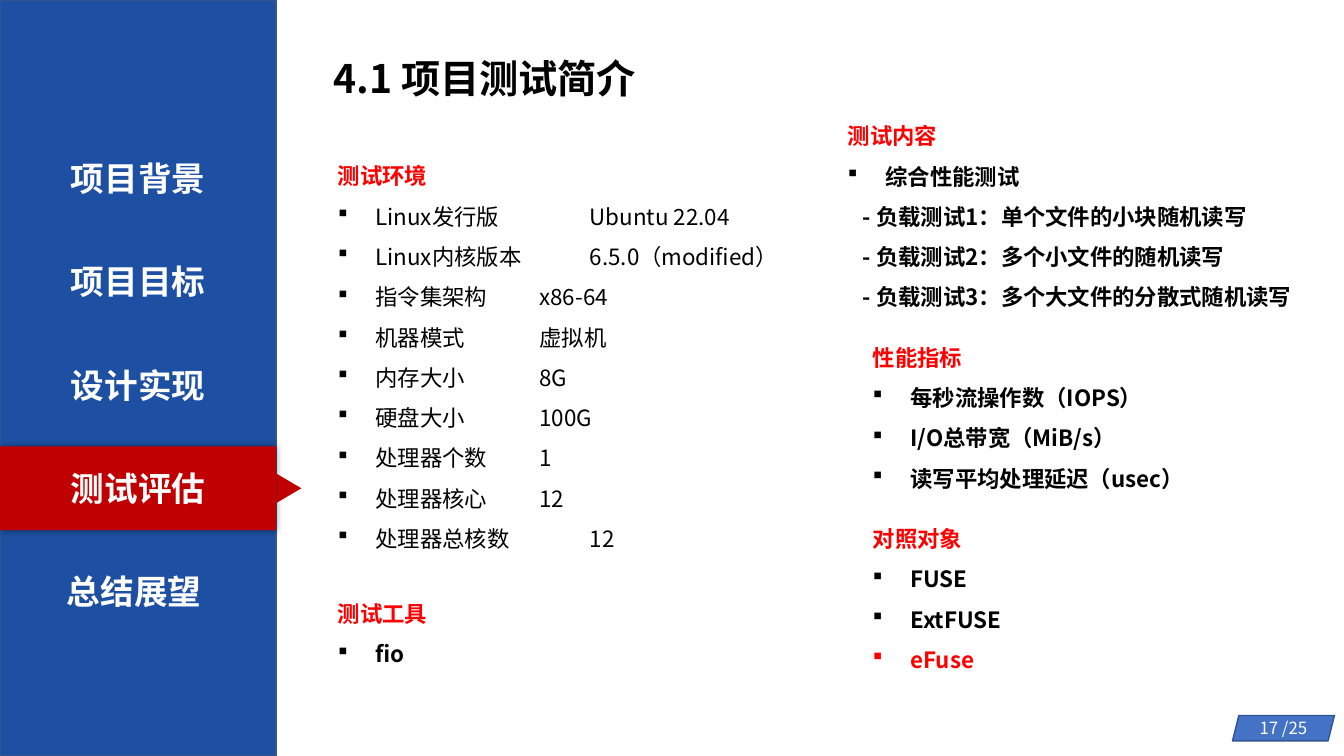
import dataclasses
import typing

import lxml.etree
import pptx
import pptx.dml.color
import pptx.enum.shapes
import pptx.enum.text
import pptx.oxml.ns
import pptx.util

Cm = pptx.util.Cm
Pt = pptx.util.Pt
qn = pptx.oxml.ns.qn
Kind = pptx.enum.shapes.MSO_SHAPE
Align = pptx.enum.text.PP_ALIGN
Anchor = pptx.enum.text.MSO_ANCHOR
Fit = pptx.enum.text.MSO_AUTO_SIZE


@dataclasses.dataclass(frozen=True)
class Theme:
    face: str = "Noto Sans CJK SC"
    black: str = "000000"
    white: str = "FFFFFF"
    red: str = "FF0000"
    dark_red: str = "C00000"
    blue: str = "1D50A2"
    badge: str = "4472C4"
    edge: str = "325491"
    title: int = 28
    menu: int = 24
    body: int = 16
    page: int = 12


THEME = Theme()


class Box(typing.NamedTuple):
    left: float
    top: float
    width: float
    height: float


class Line(typing.NamedTuple):
    text: str
    kind: str = "item"
    color: str = THEME.black
    bold: bool = True
    before: float = 0


class Block(typing.NamedTuple):
    box: Box
    lines: list[Line]


class Panel(typing.NamedTuple):
    box: Box
    kind: typing.Any
    fill: str
    edge: str = ""
    turn: int = 0


INDENT = {"head": (0, 0), "item": (0.95, -0.95), "dash": (0.38, 0)}

SPECS = [
    ("Linux发行版", "Ubuntu 22.04"),
    ("Linux内核版本", "6.5.0（modified）"),
    ("指令集架构", "x86-64"),
    ("机器模式", "虚拟机"),
    ("内存大小", "8G"),
    ("硬盘大小", "100G"),
    ("处理器个数", "1"),
    ("处理器核心", "12"),
    ("处理器总核数", "12"),
]


def head(text: str, before: float = 0) -> Line:
    return Line(text, "head", THEME.red, True, before)


BLOCKS = [
    Block(Box(8.26, 3.63, 12.88, 10.39), [
        head("测试环境"),
        *(Line(f"{name}\t\t{value}", bold=False) for name, value in SPECS),
    ]),
    Block(Box(8.26, 14.66, 10.16, 2.4), [head("测试工具"), Line("fio")]),
    Block(Box(21.11, 2.62, 12.6, 5.26), [
        head("测试内容"),
        Line("综合性能测试"),
        Line("- 负载测试1：单个文件的小块随机读写", "dash"),
        Line("- 负载测试2：多个小文件的随机读写", "dash"),
        Line("- 负载测试3：多个大文件的分散式随机读写", "dash"),
    ]),
    Block(Box(21.74, 8.2, 10.16, 8.8), [
        head("性能指标"),
        Line("每秒流操作数（IOPS）"),
        Line("I/O总带宽（MiB/s）"),
        Line("读写平均处理延迟（usec）"),
        head("对照对象", 14.5),
        Line("FUSE"),
        Line("ExtFUSE"),
        Line("eFuse", color=THEME.red),
    ]),
]

MENU = ["项目背景", "项目目标", "设计实现", "测试评估", "总结展望"]
MENU_TOP = 3.86
MENU_STEP = 2.6
ACTIVE = 3
BAR_TOP = MENU_TOP + ACTIVE * MENU_STEP - 0.41

SIDE = Panel(Box(0, 0, 6.96, 19.05), Kind.RECTANGLE, THEME.blue, THEME.edge)
BAR = Panel(Box(0, BAR_TOP, 6.96, 2.11), Kind.RECTANGLE, THEME.dark_red)
POINT = Panel(Box(6.91, BAR_TOP + 0.74, 0.74, 0.63),
              Kind.ISOSCELES_TRIANGLE, THEME.dark_red, turn=90)
BADGE = Panel(Box(31.06, 18.03, 2.57, 0.64),
              Kind.PARALLELOGRAM, THEME.badge, THEME.edge)


def rgb(code: str) -> pptx.dml.color.RGBColor:
    return pptx.dml.color.RGBColor.from_string(code)


def apply(target: typing.Any, format: dict[str, typing.Any]) -> None:
    for name, value in format.items():
        setattr(target, name, value)


def place(shape: typing.Any, box: Box) -> None:
    apply(shape, {key: Cm(size) for key, size in box._asdict().items()})


def write(para: typing.Any, text: str, size: int, color: str,
          bold: bool = True) -> None:
    run = para.add_run()
    run.text = text
    apply(run.font, {"size": Pt(size), "bold": bold, "name": THEME.face})
    run.font.color.rgb = rgb(color)
    east = lxml.etree.SubElement(run._r.get_or_add_rPr(), qn("a:ea"))
    east.set("typeface", THEME.face)


def bullet(para: typing.Any, kind: str) -> None:
    props = para._p.get_or_add_pPr()
    left, first = INDENT[kind]
    props.set("marL", str(int(Cm(left))))
    props.set("indent", str(int(Cm(first))))
    if kind == "item":
        font = lxml.etree.SubElement(props, qn("a:buFont"))
        font.set("typeface", "Wingdings")
        lxml.etree.SubElement(props, qn("a:buChar")).set("char", "§")
    else:
        lxml.etree.SubElement(props, qn("a:buNone"))


def fill_block(shape: typing.Any, block: Block) -> None:
    place(shape, block.box)
    frame = shape.text_frame
    apply(frame, {"word_wrap": True, "auto_size": Fit.NONE,
                  "vertical_anchor": Anchor.TOP})
    for index, line in enumerate(block.lines):
        para = frame.add_paragraph() if index else frame.paragraphs[0]
        bullet(para, line.kind)
        apply(para, {"line_spacing": 1.5, "space_before": Pt(line.before),
                     "space_after": Pt(0), "alignment": Align.LEFT})
        write(para, line.text, THEME.body, line.color, line.bold)


def draw_panel(slide: typing.Any, panel: Panel) -> typing.Any:
    shape = slide.shapes.add_shape(panel.kind, *map(Cm, panel.box))
    shape.shadow.inherit = False
    shape.rotation = panel.turn
    shape.fill.solid()
    shape.fill.fore_color.rgb = rgb(panel.fill)
    if panel.edge:
        shape.line.color.rgb = rgb(panel.edge)
        shape.line.width = Pt(1)
    else:
        shape.line.fill.background()
    return shape


def add_glow(shape: typing.Any) -> None:
    effects = shape._element.spPr.find(qn("a:effectLst"))
    shade = lxml.etree.SubElement(effects, qn("a:outerShdw"))
    shade.set("blurRad", str(int(Pt(5))))
    color = lxml.etree.SubElement(shade, qn("a:srgbClr"))
    color.set("val", THEME.black)
    lxml.etree.SubElement(color, qn("a:alpha")).set("val", "40000")


def draw_menu(slide: typing.Any) -> None:
    draw_panel(slide, SIDE)
    add_glow(draw_panel(slide, BAR))
    draw_panel(slide, POINT)
    for index, text in enumerate(MENU):
        left = 0.13 if index == len(MENU) - 1 else 0.23
        box = Box(left, MENU_TOP + index * MENU_STEP, 6.5, 1.27)
        frame = slide.shapes.add_textbox(*map(Cm, box)).text_frame
        frame.word_wrap = True
        frame.paragraphs[0].alignment = Align.CENTER
        write(frame.paragraphs[0], text, THEME.menu, THEME.white)


def draw_title(shape: typing.Any) -> None:
    place(shape, Box(8.15, 1.09, 10.11, 1.9))
    apply(shape.text_frame, {"vertical_anchor": Anchor.MIDDLE,
                             "auto_size": Fit.NONE, "word_wrap": True})
    para = shape.text_frame.paragraphs[0]
    apply(para, {"alignment": Align.LEFT, "line_spacing": 0.9})
    write(para, "4.1 项目测试简介", THEME.title, THEME.black)


def draw_page(slide: typing.Any) -> None:
    frame = draw_panel(slide, BADGE).text_frame
    apply(frame, {"word_wrap": False, "vertical_anchor": Anchor.MIDDLE})
    frame.paragraphs[0].alignment = Align.CENTER
    write(frame.paragraphs[0], "17 /25", THEME.page, THEME.white, False)


def main() -> None:
    deck = pptx.Presentation()
    apply(deck, {"slide_width": Cm(33.87), "slide_height": Cm(19.05)})
    slide = deck.slides.add_slide(deck.slide_layouts.get_by_name("Comparison"))
    title, *bodies = slide.placeholders
    draw_title(title)
    for body, block in zip(bodies, BLOCKS):
        fill_block(body, block)
    draw_menu(slide)
    draw_page(slide)
    deck.save("out.pptx")


if __name__ == "__main__":
    main()
